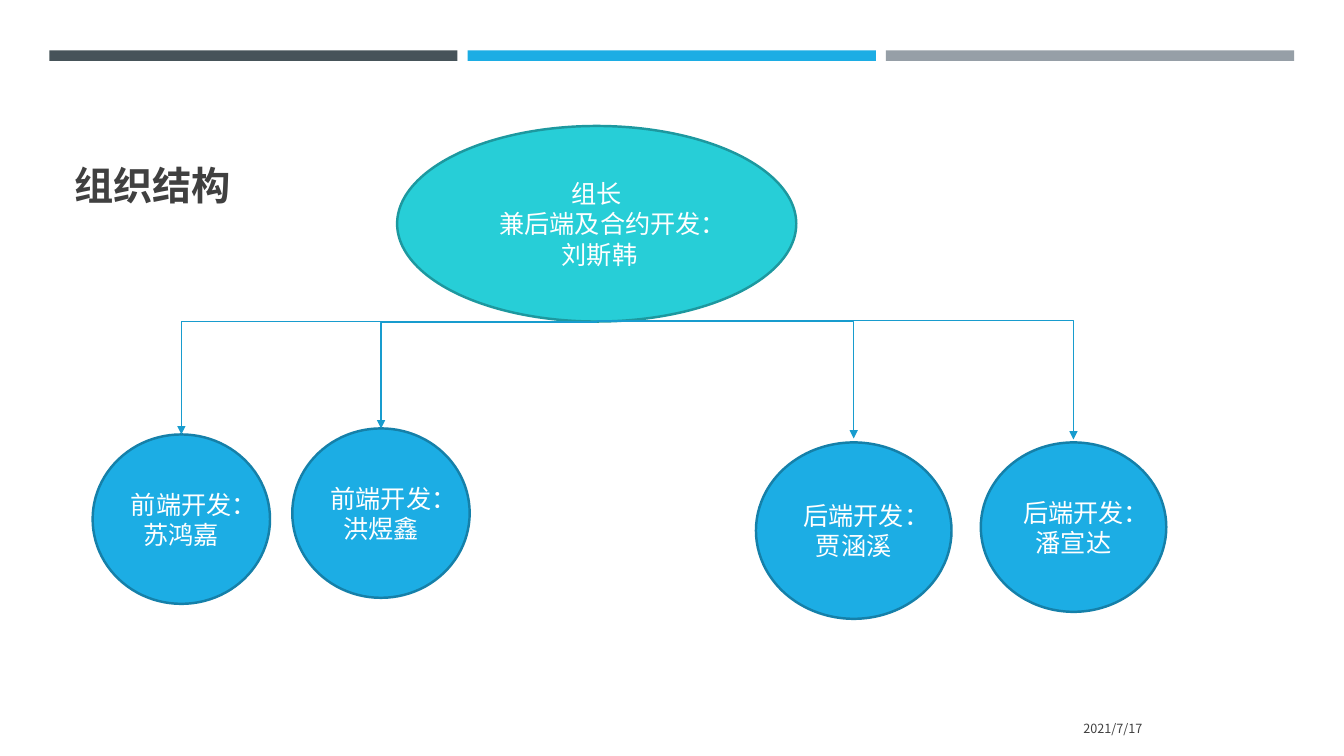
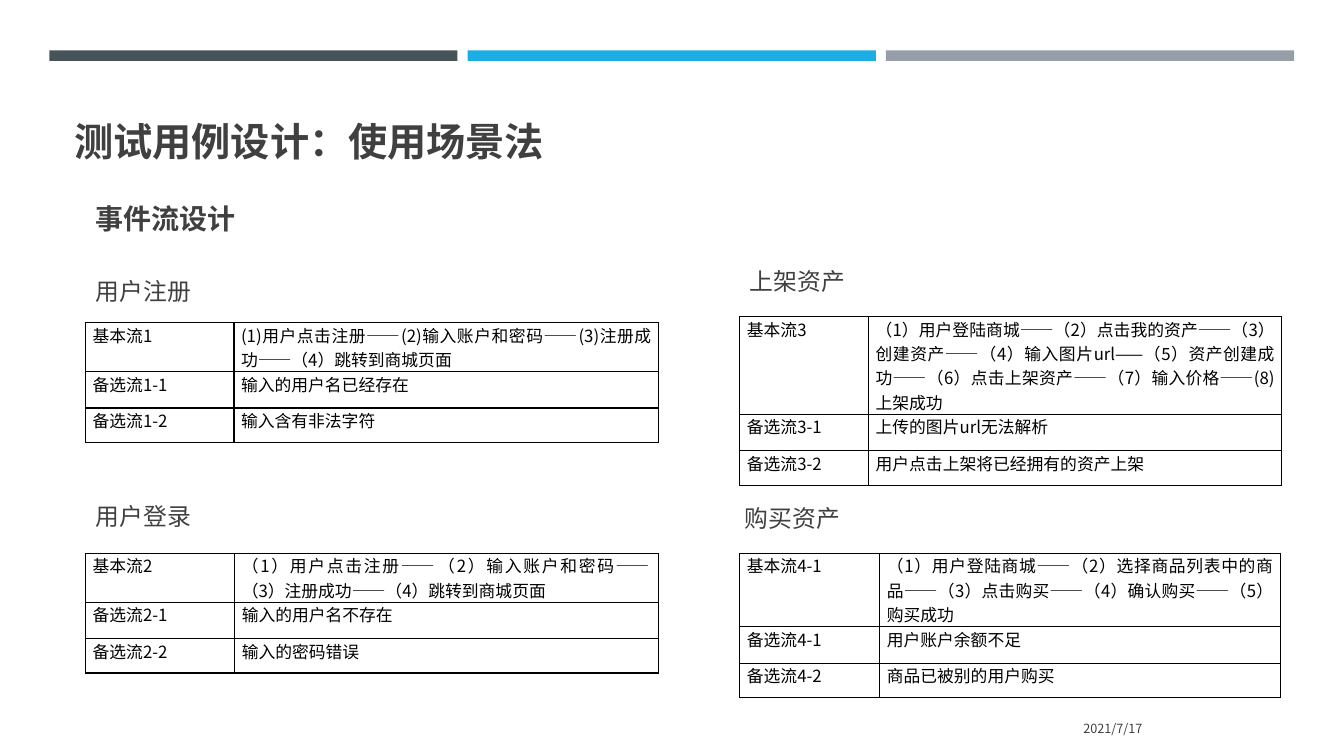
from lxml import etree
from pptx import Presentation, util as u
from pptx.dml import color
from pptx.enum import shapes, text
from pptx.oxml import ns

Pt = u.Pt


class Theme:
    sans, cabin = "Noto Sans CJK SC", "Cabin"
    dark, blue, grey = "465359", "1CADE4", "969FA7"
    teal, rim, edge, wire = "27CED7", "1D989F", "1580A9", "189CCE"
    ink, black, white = "404040", "000000", "FFFFFF"
    title, lead, node, label, cell, date = 28, 20, 18, 17, 12, 9


def tag(root, name, **attrs):
    return etree.SubElement(root, ns.qn(name), attrs)


def write(frame, lines, size, tint, face=Theme.sans, bold=False,
          align=text.PP_ALIGN.LEFT, space=None):
    frame.word_wrap = True
    frame.text = "\n".join(lines)
    for para in frame.paragraphs:
        para.alignment, para.line_spacing = align, space
        font = para.font
        font.size, font.bold, font.name = Pt(size), bold, face
        font.color.rgb = color.RGBColor.from_string(tint)
        if face == Theme.sans:
            tag(para._p.pPr.find(ns.qn("a:defRPr")), "a:ea", typeface=face)


deck = Presentation()
deck.slide_width, deck.slide_height = Pt(960), Pt(540)

# Shared bands, title and date
pages = []
for title, height in (("组织结构", 93.6), ("测试用例设计：使用场景法", 62)):
    page = deck.slides.add_slide(deck.slide_layouts[6])
    pages.append(page.shapes)
    for i, tint in enumerate((Theme.dark, Theme.blue, Theme.grey)):
        band = page.shapes.add_shape(
            shapes.MSO_SHAPE.RECTANGLE, Pt(35.2 + 298.8 * i), Pt(36),
            Pt(291.6), Pt(7.5))
        band.shadow.inherit = False
        band.fill.solid()
        band.fill.fore_color.rgb = color.RGBColor.from_string(tint)
        band.line.fill.background()

    head = page.shapes.add_textbox(Pt(46), Pt(55.4), Pt(868), Pt(height))
    head.text_frame.vertical_anchor = text.MSO_ANCHOR.BOTTOM
    head.text_frame.margin_bottom = 0
    write(head.text_frame, [title], Theme.title, Theme.ink, bold=True)

    date = page.shapes.add_textbox(Pt(599), Pt(506), Pt(224), Pt(29))
    date.text_frame.vertical_anchor = text.MSO_ANCHOR.MIDDLE
    write(date.text_frame, ["2021/7/17"], Theme.date, Theme.ink,
          align=text.PP_ALIGN.RIGHT)

chart, flows = pages

# Team members
team = (
    (283.7, 90, 285.1, 139.7, Theme.teal, Theme.rim,
     ["组长", "兼后端及合约开发：", "刘斯韩"]),
    (208.8, 306, 126.7, 121, Theme.blue, Theme.edge, ["前端开发：", "洪煜鑫"]),
    (700.6, 316, 132.5, 121, Theme.blue, Theme.edge, ["后端开发：", "潘宣达"]),
    (66.2, 310.3, 126.7, 121, Theme.blue, Theme.edge, ["前端开发：", "苏鸿嘉"]),
    (540, 316, 139.7, 126, Theme.blue, Theme.edge, ["后端开发：", "贾涵溪"]),
)
for x, y, w, h, tint, edge, lines in team:
    node = chart.add_shape(shapes.MSO_SHAPE.OVAL, Pt(x), Pt(y), Pt(w), Pt(h))
    node.shadow.inherit = False
    node.fill.solid()
    node.fill.fore_color.rgb = color.RGBColor.from_string(tint)
    node.line.color.rgb = color.RGBColor.from_string(edge)
    node.line.width = Pt(1.75)
    node.text_frame.vertical_anchor = text.MSO_ANCHOR.MIDDLE
    write(node.text_frame, lines, Theme.node, Theme.white, Theme.cabin,
          align=text.PP_ALIGN.CENTER)
    if tint == Theme.teal:
        for para, left in zip(node.text_frame.paragraphs[1:], (23, 4)):
            para._p.pPr.set("marL", str(Pt(left)))

# Elbow arrows from the leader
for x, top, end in ((272.2, 230.4, 306), (129.6, 229.7, 310.3),
                    (609.8, 229.7, 313.2), (766.8, 229, 313.9)):
    wire = chart.add_connector(shapes.MSO_CONNECTOR.ELBOW,
                               Pt(426.2), Pt(top), Pt(x), Pt(end))
    wire.line.color.rgb = color.RGBColor.from_string(Theme.wire)
    wire.line.width = Pt(1)
    prop = wire._element.spPr
    prop.find(ns.qn("a:prstGeom")).set("prst", "bentConnector2")
    tag(wire.line._get_or_add_ln(), "a:tailEnd", type="triangle")
    tag(prop, "a:effectLst")

# Lead line with a square bullet
lead = flows.add_textbox(Pt(61.2), Pt(138.2), Pt(238), Pt(32)).text_frame
props = lead.paragraphs[0]._p.get_or_add_pPr()
props.set("marL", str(Pt(24)))
props.set("indent", str(Pt(-24)))
tag(tag(props, "a:buClr"), "a:srgbClr", val=Theme.blue)
tag(props, "a:buSzPct", val="92000")
tag(props, "a:buFont", typeface="Wingdings")
tag(props, "a:buChar", char="§")
write(lead, ["事件流设计"], Theme.lead, Theme.ink, bold=True, space=1.1)

# Event flows: label place, table place, column widths, first row height
cases = (
    ("用户注册", 61.2, 192.2, 61.2, 230.4, (106, 303), 35, (
        ("基本流1", "(1)用户点击注册——(2)输入账户和密码——(3)注册成功——（4）跳转到商城页面"),
        ("备选流1-1", "输入的用户名已经存在"),
        ("备选流1-2", "输入含有非法字符"))),
    ("用户登录", 61.2, 352.8, 61.2, 395.3, (106.5, 302.5), 35, (
        ("基本流2", "（1）用户点击注册——（2）输入账户和密码——（3）注册成功——（4）跳转到商城页面"),
        ("备选流2-1", "输入的用户名不存在"),
        ("备选流2-2", "输入的密码错误"))),
    ("上架资产", 528.5, 185, 528.5, 226.1, (92, 295), 70, (
        ("基本流3", "（1）用户登陆商城——（2）点击我的资产——（3）创建资产——（4）输入图片url——"
                 "（5）资产创建成功——（6）点击上架资产——（7）输入价格——(8)上架成功"),
        ("备选流3-1", "上传的图片url无法解析"),
        ("备选流3-2", "用户点击上架将已经拥有的资产上架"))),
    ("购买资产", 524.9, 354.2, 528.5, 395.3, (100, 286), 52.5, (
        ("基本流4-1", "（1）用户登陆商城——（2）选择商品列表中的商品——（3）点击购买——"
                   "（4）确认购买——（5）购买成功"),
        ("备选流4-1", "用户账户余额不足"),
        ("备选流4-2", "商品已被别的用户购买"))),
)
for name, lx, ly, x, y, cols, first, rows in cases:
    label = flows.add_textbox(Pt(lx), Pt(ly), Pt(238), Pt(32))
    write(label.text_frame, [name], Theme.label, Theme.ink, space=1.1)

    highs = (first, 26, 24.5)
    grid = flows.add_table(len(rows), len(cols), Pt(x), Pt(y),
                           Pt(sum(cols)), Pt(sum(highs))).table
    grid.first_row = grid.horz_banding = False
    for col, wide in zip(grid.columns, cols):
        col.width = Pt(wide)
    for row, high, words in zip(grid.rows, highs, rows):
        row.height = Pt(high)
        for cell, word in zip(row.cells, words):
            cell.margin_left = cell.margin_right = Pt(5)
            cell.margin_top = cell.margin_bottom = 0
            for side in "LRTB":
                rule = tag(cell._tc.get_or_add_tcPr(), "a:ln" + side,
                           w=str(Pt(1)))
                tag(tag(rule, "a:solidFill"), "a:srgbClr", val=Theme.black)
            cell.fill.background()
            write(cell.text_frame, [word], Theme.cell, Theme.black,
                  align=text.PP_ALIGN.JUSTIFY)

deck.save("out.pptx")
